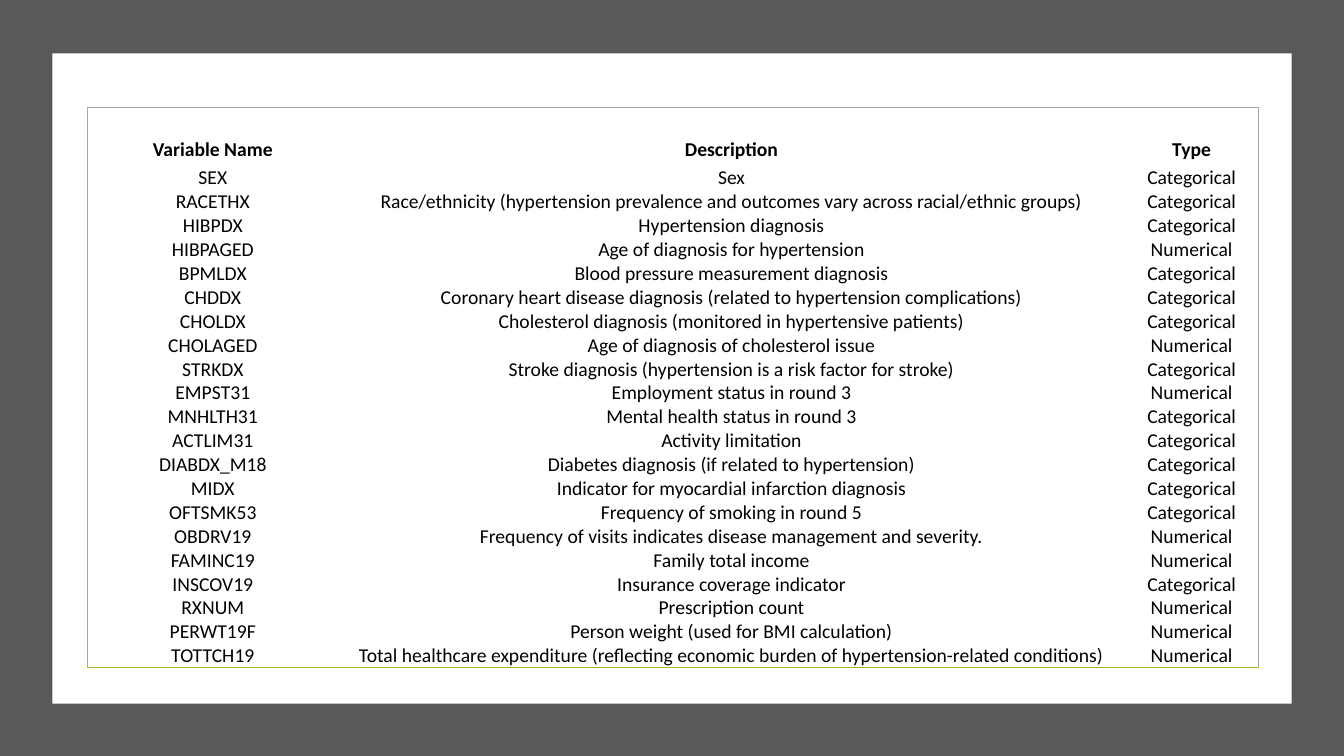
from lxml.etree import SubElement
from pptx import Presentation
from pptx.dml.color import RGBColor
from pptx.enum.shapes import MSO_SHAPE
from pptx.enum.text import MSO_ANCHOR, PP_ALIGN
from pptx.oxml.ns import qn
from pptx.util import Inches, Pt

COLORS = {
    "background": "A6B727",
    "backdrop": "595959",
    "panel": "FFFFFF",
    "text": "000000",
    "frame": "A6A6A6",
    "base": "A6B727",
}
FONT_NAME = "Calibri"
FONT_SIZE = Pt(14)
BORDER_WIDTH = Pt(0.79)
COLUMN_WIDTHS = [2.48, 7.8, 1.32]
SPACER_HEIGHT, HEADER_HEIGHT, BODY_HEIGHT = 0.26, 0.32, 0.23

HEADER = ("Variable Name", "Description", "Type")
VARIABLES = [
    ("SEX", "Sex", "Categorical"),
    ("RACETHX", "Race/ethnicity (hypertension prevalence and outcomes vary across racial/ethnic groups)", "Categorical"),
    ("HIBPDX", "Hypertension diagnosis", "Categorical"),
    ("HIBPAGED", "Age of diagnosis for hypertension", "Numerical"),
    ("BPMLDX", "Blood pressure measurement diagnosis", "Categorical"),
    ("CHDDX", "Coronary heart disease diagnosis (related to hypertension complications)", "Categorical"),
    ("CHOLDX", "Cholesterol diagnosis (monitored in hypertensive patients)", "Categorical"),
    ("CHOLAGED", "Age of diagnosis of cholesterol issue", "Numerical"),
    ("STRKDX", "Stroke diagnosis (hypertension is a risk factor for stroke)", "Categorical"),
    ("EMPST31", "Employment status in round 3", "Numerical"),
    ("MNHLTH31", "Mental health status in round 3", "Categorical"),
    ("ACTLIM31", "Activity limitation", "Categorical"),
    ("DIABDX_M18", "Diabetes diagnosis (if related to hypertension)", "Categorical"),
    ("MIDX", "Indicator for myocardial infarction diagnosis", "Categorical"),
    ("OFTSMK53", "Frequency of smoking in round 5", "Categorical"),
    ("OBDRV19", "Frequency of visits indicates disease management and severity.", "Numerical"),
    ("FAMINC19", "Family total income", "Numerical"),
    ("INSCOV19", "Insurance coverage indicator", "Categorical"),
    ("RXNUM", "Prescription count", "Numerical"),
    ("PERWT19F", "Person weight (used for BMI calculation)", "Numerical"),
    ("TOTTCH19", "Total healthcare expenditure (reflecting economic burden of hypertension-related conditions)", "Numerical"),
]


def rgb(name):
    """Return the named colour."""
    return RGBColor.from_string(COLORS[name])


def add_panel(slide, left, top, width, height, color):
    """Add a plain filled rectangle."""
    shape = slide.shapes.add_shape(
        MSO_SHAPE.RECTANGLE, Inches(left), Inches(top), Inches(width), Inches(height)
    )
    shape.shadow.inherit = False
    shape.fill.solid()
    shape.fill.fore_color.rgb = rgb(color)
    shape.line.fill.background()


def set_borders(cell, edges):
    """Draw the given cell edges and hide the others."""
    properties = cell._tc.get_or_add_tcPr()
    for side in ("lnL", "lnR", "lnT", "lnB"):
        line = SubElement(properties, qn(f"a:{side}"), w=str(BORDER_WIDTH))
        if side in edges:
            fill = SubElement(line, qn("a:solidFill"))
            SubElement(fill, qn("a:srgbClr"), val=COLORS[edges[side]])
        else:
            SubElement(line, qn("a:noFill"))


def fill_cell(cell, text, bold):
    """Write one centred cell without margins."""
    cell.fill.background()
    cell.margin_left = cell.margin_right = cell.margin_top = cell.margin_bottom = 0
    cell.vertical_anchor = MSO_ANCHOR.MIDDLE
    paragraph = cell.text_frame.paragraphs[0]
    paragraph.alignment = PP_ALIGN.CENTER
    paragraph.font.size = FONT_SIZE
    if not text:
        SubElement(paragraph._p, qn("a:endParaRPr"), sz="1400")
        return
    run = paragraph.add_run()
    run.text = text
    run.font.name = FONT_NAME
    run.font.size = FONT_SIZE
    run.font.bold = bold
    run.font.color.rgb = rgb("text")


def add_variable_table(slide, left, top, width):
    """Add the framed variable table below a blank spacer row."""
    rows = [("", "", ""), HEADER, *VARIABLES]
    heights = [SPACER_HEIGHT, HEADER_HEIGHT] + [BODY_HEIGHT] * len(VARIABLES)
    table = slide.shapes.add_table(
        len(rows), len(HEADER), Inches(left), Inches(top), Inches(width), Inches(sum(heights))
    ).table
    table.first_row = table.horz_banding = False
    scale = width / sum(COLUMN_WIDTHS)
    for column, column_width in zip(table.columns, COLUMN_WIDTHS):
        column.width = Inches(column_width * scale)
    last_row, last_column = len(rows) - 1, len(HEADER) - 1
    for row_index, (texts, height) in enumerate(zip(rows, heights)):
        table.rows[row_index].height = Inches(height)
        for column_index, text in enumerate(texts):
            cell = table.cell(row_index, column_index)
            edges = {}
            if column_index == 0:
                edges["lnL"] = "frame"
            if column_index == last_column:
                edges["lnR"] = "frame"
            if row_index == 0:
                edges["lnT"] = "frame"
            if row_index == last_row:
                edges["lnB"] = "base"
            set_borders(cell, edges)
            fill_cell(cell, text, bold=row_index == 1)


def main():
    """Build and save the slide."""
    presentation = Presentation()
    presentation.slide_width = Inches(13.33)
    presentation.slide_height = Inches(7.5)
    slide = presentation.slides.add_slide(presentation.slide_layouts[6])
    slide.background.fill.solid()
    slide.background.fill.fore_color.rgb = rgb("background")
    add_panel(slide, 0, 0, 13.33, 7.5, "backdrop")
    add_panel(slide, 0.52, 0.53, 12.29, 6.45, "panel")
    add_variable_table(slide, 0.87, 1.07, 11.61)
    presentation.save("out.pptx")


if __name__ == "__main__":
    main()
